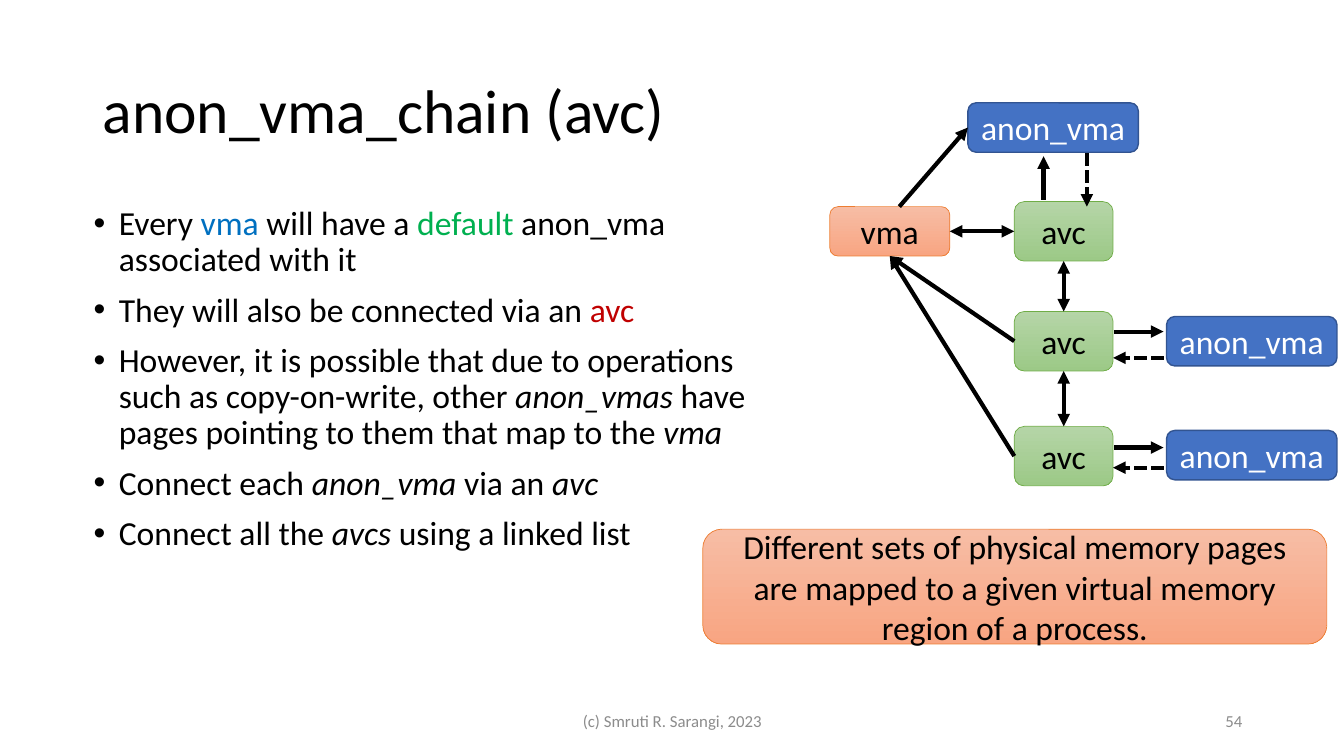
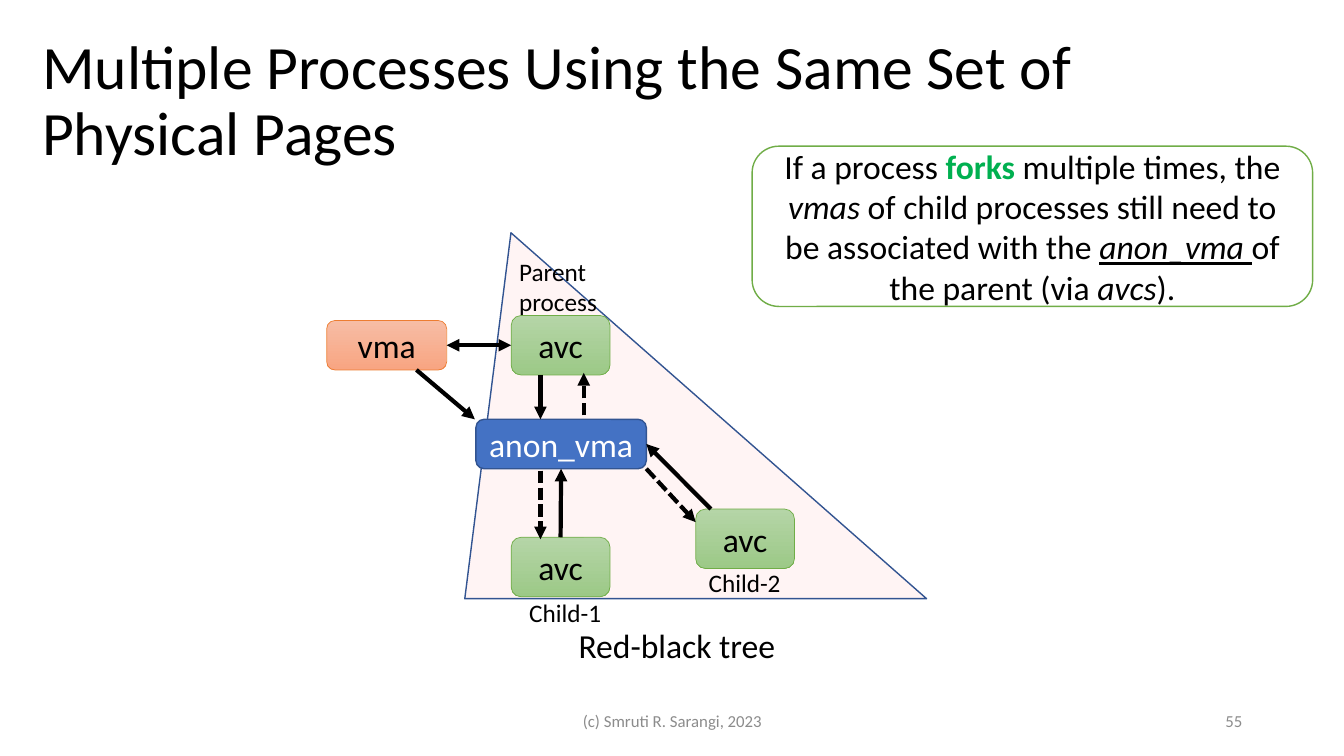
import pptx
import pptx.util
import pptx.dml.color
import pptx.enum.dml
import pptx.enum.shapes
import pptx.enum.text
import pptx.oxml
import pptx.oxml.ns
import lxml.etree

PX = 9144  # one px is a hundredth of an inch
SHAPES = pptx.enum.shapes.MSO_SHAPE
ALIGN = pptx.enum.text.PP_ALIGN
MIDDLE = pptx.enum.text.MSO_ANCHOR.MIDDLE
TOP, LEFT, BOTTOM, RIGHT = range(4)  # connection sites

# Shared colours and text formats
BLACK, WHITE, GREEN = "000000", "FFFFFF", "00B050"
BASE = {"name": "Calibri", "size": 24, "color": BLACK}
TITLE = {"size": 44}
FOOTER = {"size": 12, "color": "8C8C8C"}
CAPTION = {"size": 18}
ITALIC = {"italic": True}

# Box styles: fill (two colours make a gradient), outline, outline width, text colour
ORANGE_BOX = (["F7BDA5", "F8A582"], "ED7D31", 0.5, BLACK)
GREEN_BOX = (["B5D5A7", "9CC987"], "70AD47", 0.5, BLACK)
BLUE_BOX = (["4472C4"], "325491", 1, WHITE)
NOTE_BOX = ([WHITE], "70AD47", 1, BLACK)
TREE_AREA = (["FFE5E5"], "325491", 1, BLACK)

# Node kinds: style, width, height
NODES = {"vma": (ORANGE_BOX, 119, 49),
         "anon_vma": (BLUE_BOX, 169, 49),
         "avc": (GREEN_BOX, 98, 59)}


def px(*lengths):
    return [pptx.util.Emu(length * PX) for length in lengths]


def rgb(code):
    return pptx.dml.color.RGBColor.from_string(code)


def sub(parent, tag, **attributes):
    return lxml.etree.SubElement(parent, pptx.oxml.ns.qn(tag), attributes)


# Text
def format_font(font, values):
    for name, value in values.items():
        if name == "color":
            font.color.rgb = rgb(value)
        else:
            setattr(font, name, pptx.util.Pt(value) if name == "size" else value)


def add_runs(paragraph, runs, look):
    """Each run is a string or a (string, format) pair; a newline breaks the line."""
    for piece in [runs] if isinstance(runs, str) else runs:
        text, extra = (piece, {}) if isinstance(piece, str) else piece
        for index, line in enumerate(text.split("\n")):
            if index:
                paragraph.add_line_break()
            run = paragraph.add_run()
            run.text = line
            format_font(run.font, {**BASE, **look, **extra})


def add_text(slide, box, runs, look, align=ALIGN.LEFT, anchor=None, wrap=True):
    frame = slide.shapes.add_textbox(*px(*box)).text_frame
    frame.word_wrap = wrap
    if anchor is not None:
        frame.vertical_anchor = anchor
    paragraph = frame.paragraphs[0]
    paragraph.alignment = align
    add_runs(paragraph, runs, look)
    return paragraph


def add_bullets(slide, box, items):
    frame = slide.shapes.add_textbox(*px(*box)).text_frame
    frame.word_wrap = True
    for index, runs in enumerate(items):
        paragraph = frame.add_paragraph() if index else frame.paragraphs[0]
        properties = paragraph._p.get_or_add_pPr()
        properties.set("marL", str(25 * PX))
        properties.set("indent", str(-25 * PX))
        sub(properties, "a:buFont", typeface="Arial")
        sub(properties, "a:buChar", char="•")
        paragraph.line_spacing = 0.9
        paragraph.space_before = pptx.util.Pt(10 if index else 0)
        add_runs(paragraph, runs, {})


# Boxes
def add_box(slide, box, style, runs="", preset=SHAPES.ROUNDED_RECTANGLE, wrap=True):
    fills, outline, width, text_color = style
    shape = slide.shapes.add_shape(preset, *px(*box))
    shape.shadow.inherit = False
    if len(fills) > 1:
        shape.fill.gradient()
        shape.fill.gradient_angle = 270
        for stop, color in zip(shape.fill.gradient_stops, fills):
            stop.color.rgb = rgb(color)
    else:
        shape.fill.solid()
        shape.fill.fore_color.rgb = rgb(fills[0])
    shape.line.color.rgb = rgb(outline)
    shape.line.width = pptx.util.Pt(width)
    if runs:
        shape.text_frame.word_wrap = wrap
        shape.text_frame.vertical_anchor = MIDDLE
        paragraph = shape.text_frame.paragraphs[0]
        paragraph.alignment = ALIGN.CENTER
        add_runs(paragraph, runs, {"color": text_color})
    return shape


def add_node(slide, kind, left, top):
    style, width, height = NODES[kind]
    return add_box(slide, (left, top, width, height), style, kind, wrap=False)


# Arrows: each end is an (x, y) point or a (shape, site) pair
def add_arrow(slide, start, end, dashed=False, both=False):
    arrow = slide.shapes.add_connector(
        pptx.enum.shapes.MSO_CONNECTOR.STRAIGHT,
        *px(*(value for point in (start, end)
              for value in (point if isinstance(point[0], int) else (0, 0)))))
    for point, connect in ((start, arrow.begin_connect), (end, arrow.end_connect)):
        if not isinstance(point[0], int):
            connect(*point)
    arrow.line.color.rgb = rgb(BLACK)
    arrow.line.width = pptx.util.Pt(3)
    if dashed:
        arrow.line.dash_style = pptx.enum.dml.MSO_LINE.SQUARE_DOT
    properties = arrow._element.spPr
    line = properties.find(pptx.oxml.ns.qn("a:ln"))
    if both:
        sub(line, "a:headEnd", type="triangle")
    sub(line, "a:tailEnd", type="triangle")
    sub(properties, "a:effectLst")


# Title and footer shared by the slides
def add_frame(deck, title, left, top, number):
    slide = deck.slides.add_slide(deck.slide_layouts[6])
    add_text(slide, (left, top, 1150, 145), title, TITLE, anchor=MIDDLE).line_spacing = 0.9
    add_text(slide, (442, 695, 450, 40), "(c) Smruti R. Sarangi, 2023", FOOTER,
             ALIGN.CENTER, MIDDLE)
    add_text(slide, (942, 695, 300, 40), str(number), FOOTER, ALIGN.RIGHT, MIDDLE)
    return slide


def build_chain_slide(deck):
    slide = add_frame(deck, "anon_vma_chain (avc)", 92, 40, 54)
    add_bullets(slide, (83, 200, 691, 430), [
        ["Every ", ("vma", {"color": "0070C0"}), " will have a ",
         ("default ", {"color": GREEN}), "anon_vma associated with it"],
        ["They will also be connected via an ", ("avc", {"color": "C00000"})],
        ["However, it is possible that due to operations such as copy-on-write, other ",
         ("anon_vmas ", ITALIC), "have pages pointing to them that map to the ",
         ("vma", ITALIC)],
        ["Connect each ", ("anon_vma", ITALIC), " via an ", ("avc", ITALIC)],
        ["Connect all the ", ("avcs ", ITALIC), "using a linked list"],
    ])

    # Nodes
    vma = add_node(slide, "vma", 823, 205)
    default_anon = add_node(slide, "anon_vma", 960, 102)
    avcs = [add_node(slide, "avc", 1006, top) for top in (200, 309, 423)]
    for top in (314, 427):
        add_node(slide, "anon_vma", 1157, top)
    add_box(slide, (697, 525, 619, 114), ORANGE_BOX,
            "Different sets of physical memory pages are mapped to a given "
            "virtual memory region of a process.")

    # Links between the vma, its default anon_vma and the avc list
    add_arrow(slide, (vma, RIGHT), (avcs[0], LEFT), both=True)
    add_arrow(slide, (892, 205), (default_anon, LEFT))
    add_arrow(slide, (1035, 198), (1035, 155))
    add_arrow(slide, (1078, 152), (1078, 205), dashed=True)
    for upper, lower in zip(avcs, avcs[1:]):
        add_arrow(slide, (upper, BOTTOM), (lower, TOP), both=True)
        add_arrow(slide, (lower, LEFT), (vma, BOTTOM))

    # Links between the lower avcs and their anon_vmas
    for forward, back in ((329, 355), (444, 464)):
        add_arrow(slide, (1105, forward), (1154, forward))
        add_arrow(slide, (1154, back), (1104, back), dashed=True)


def build_fork_slide(deck):
    slide = add_frame(deck, "Multiple Processes Using the Same Set of Physical Pages",
                      32, 29, 55)

    # Red-black tree area
    tree = add_box(slide, (461, 231, 458, 363), TREE_AREA,
                   preset=SHAPES.ISOSCELES_TRIANGLE)
    tree.adjustments[0] = 0.1
    tint = tree._element.spPr.find(".//" + pptx.oxml.ns.qn("a:srgbClr"))
    sub(tint, "a:alpha", val="40000")

    # Nodes
    vma = add_node(slide, "vma", 324, 318)
    anon = add_node(slide, "anon_vma", 472, 416)
    parent, child_1, _ = [add_node(slide, "avc", left, top)
                          for left, top in ((507, 313), (507, 533), (690, 505))]

    # Links
    add_arrow(slide, (vma, RIGHT), (parent, LEFT), both=True)
    add_arrow(slide, (child_1, TOP), (anon, BOTTOM))
    add_arrow(slide, (705, 505), (anon, RIGHT))
    add_arrow(slide, (536, 372), (536, 416))
    add_arrow(slide, (413, 367), (471, 416))
    for start, end in (((579, 412), (579, 370)), ((641, 465), (690, 518)),
                       ((536, 467), (536, 535))):
        add_arrow(slide, start, end, dashed=True)

    # Captions and note
    for box, caption, look in (((564, 615, 217, 50), "Red-black tree", {}),
                               ((505, 249, 98, 71), "Parent\nprocess", CAPTION),
                               ((515, 588, 92, 40), "Child-1", CAPTION),
                               ((693, 558, 92, 40), "Child-2", CAPTION)):
        add_text(slide, box, caption, look, wrap=False)
    add_box(slide, (746, 145, 556, 159), NOTE_BOX, [
        "If a process ", ("forks", {"color": GREEN, "bold": True}),
        " multiple times, the ", ("vmas", ITALIC),
        " of child processes still need to be associated with the ",
        ("anon_vma ", {"italic": True, "underline": True}),
        "of the parent (via ", ("avcs", ITALIC), ")."])


def main():
    deck = pptx.Presentation()
    deck.slide_width, deck.slide_height = px(1333, 750)
    build_chain_slide(deck)
    build_fork_slide(deck)
    deck.save("out.pptx")


if __name__ == "__main__":
    main()
